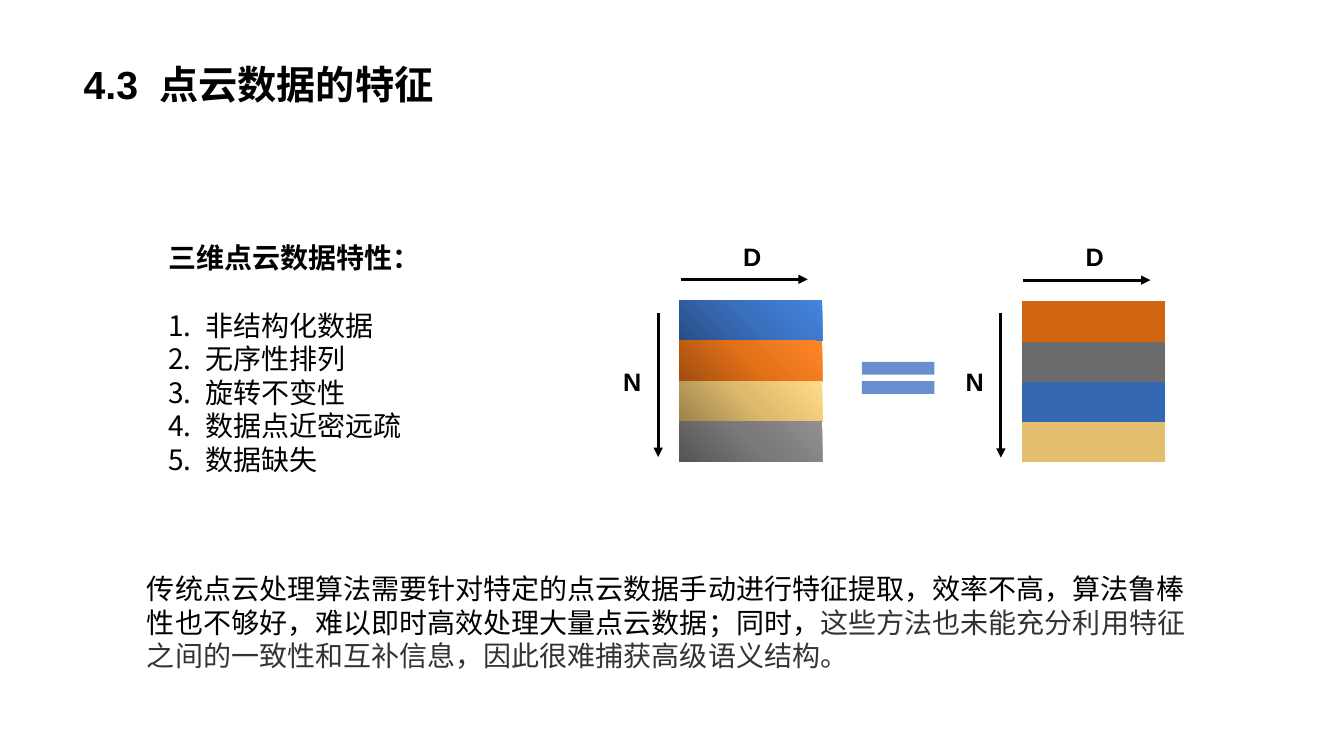
"""Builds the slide on the features of point cloud data."""
from dataclasses import dataclass

from lxml import etree
from pptx import Presentation
from pptx import util as u
from pptx.dml.color import RGBColor
from pptx.enum import shapes, text
from pptx.oxml.ns import qn

WIDTH, HEIGHT = u.Inches(13.33), u.Inches(7.5)
BLACK, GREY = "000000", "333333"
FONT = "Arial"


@dataclass(frozen=True)
class Box:
    """An area in columns and rows, of which the slide has a hundred each."""
    x: float
    y: float
    w: float
    h: float

    def area(self) -> tuple:
        """Return left, top, width and height as lengths."""
        return col(self.x), row(self.y), col(self.w), row(self.h)


@dataclass(frozen=True)
class Matrix:
    """A stack of bands, each filled with one colour or a gradient of three."""
    x: float
    y: float
    bands: tuple


TITLE = Box(5.48, 0, 89, 14.93)
LIST = Box(11.78, 31.2, 25.72, 32.8)
NOTE = Box(10.2, 74.93, 79.58, 14.8)
EQUAL = Box(63.15, 46.4, 7.35, 7.2)
BAND_W, BAND_H = 10.65, 5.33
ITEMS = ("非结构化数据", "无序性排列", "旋转不变性", "数据点近密远疏", "数据缺失")
RUNS = (
    ("传统点云处理算法需要针对特定的点云数据手动进行特征提取，效率不高，算法鲁棒"
     "性也不够好，难以即时高效处理大量点云数据；同时，", FONT, BLACK),
    ("这些方法也未能充分利用特征之间的一致性和互补信息，因此很难捕获高级语义结构。",
     "Times New Roman", GREY),
)
MATRICES = (
    Matrix(50.55, 39.75, (
        ("294E85", "3A6FBD", "4584E0"),
        ("9F4F10", "E37017", "FF8729"),
        ("9C834C", "DEBB6C", "FFDA89"),
        ("565555", "7A7878", "918F8F"),
    )),
    Matrix(76.05, 39.85, (("D16612",), ("6C6B6B",), ("3568B2",), ("E2BE6D",))),
)


def col(n: float) -> int:
    """Return the length of n columns."""
    return round(WIDTH * n / 100)


def row(n: float) -> int:
    """Return the length of n rows."""
    return round(HEIGHT * n / 100)


def color(code: str) -> RGBColor:
    """Return the colour of a hex string."""
    return RGBColor.from_string(code)


def add(parent, tag: str, **attrs: str):
    """Append a child element and return it."""
    return etree.SubElement(parent, qn(tag), attrs)


def style(font, size: float, bold: bool = False) -> None:
    """Set the font of a paragraph."""
    font.name, font.size, font.bold = FONT, u.Pt(size), bold
    font.color.rgb = color(BLACK)


def frame(slide, box: Box):
    """Add a wrapping text box and return its text frame."""
    body = slide.shapes.add_textbox(*box.area()).text_frame
    body.word_wrap = True
    return body


def title(slide) -> None:
    """Place and fill the title."""
    shape = slide.shapes.title
    shape.left, shape.top, shape.width, shape.height = TITLE.area()
    body = shape.text_frame
    body.auto_size = text.MSO_AUTO_SIZE.NONE
    body.vertical_anchor = text.MSO_ANCHOR.BOTTOM
    para = body.paragraphs[0]
    para.text = "4.3\t点云数据的特征"
    stops = add(para._p.get_or_add_pPr(), "a:tabLst")
    add(stops, "a:tab", pos=str(u.Inches(0.75)), algn="l")
    para.alignment, para.line_spacing = text.PP_ALIGN.LEFT, 0.9
    style(para.font, 28, True)


def points(slide) -> None:
    """Add the numbered list under its heading."""
    body = frame(slide, LIST)
    head = body.paragraphs[0]
    head.text = "三维点云数据特性："
    style(head.font, 20, True)
    indent = u.Inches(0.37)
    for i, item in enumerate(ITEMS):
        para = body.add_paragraph()
        para.text = item
        props = para._p.get_or_add_pPr()
        props.set("marL", str(indent))
        props.set("indent", str(-indent))
        add(props, "a:buFont", typeface=FONT)
        add(props, "a:buAutoNum", type="arabicPeriod")
        para.space_before = u.Pt(0 if i else 24)
        style(para.font, 20)


def note(slide) -> None:
    """Add the closing text."""
    para = frame(slide, NOTE).paragraphs[0]
    para.font.size = u.Pt(20)
    for words, face, code in RUNS:
        run = para.add_run()
        run.text = words
        run.font.name, run.font.size = face, u.Pt(20)
        run.font.color.rgb = color(code)


def paint(cell, codes: tuple) -> None:
    """Fill a cell without borders."""
    props = cell._tc.get_or_add_tcPr()
    for side in "LRTB":
        add(add(props, f"a:ln{side}", w="0"), "a:noFill")
    if len(codes) == 1:
        cell.fill.solid()
        cell.fill.fore_color.rgb = color(codes[0])
        return
    grad = add(props, "a:gradFill", rotWithShape="1")
    stops = add(grad, "a:gsLst")
    for i, code in enumerate(codes):
        stop = add(stops, "a:gs", pos=str(i * 50000))
        add(stop, "a:srgbClr", val=code)
    path = add(grad, "a:path", path="circle")
    add(path, "a:fillToRect", t="100000", r="100000")


def arrow(slide, x: float, y: float, w: float, h: float) -> None:
    """Draw an arrow that runs w columns and h rows."""
    line = slide.shapes.add_connector(
        shapes.MSO_CONNECTOR.STRAIGHT, col(x), row(y), col(x + w), row(y + h))
    line.line.color.rgb = color(BLACK)
    line.line.width = u.Pt(2.25)
    add(line.line._get_or_add_ln(), "a:tailEnd", type="triangle")
    add(line._element.spPr, "a:effectLst")


def label(slide, word: str, x: float, y: float) -> None:
    """Add the letter of a dimension."""
    para = frame(slide, Box(x, y, 2.7, 5.33)).paragraphs[0]
    para.text = word
    style(para.font, 18, True)


def matrix(slide, item: Matrix) -> None:
    """Draw a matrix with its two dimensions."""
    x, y, count = item.x, item.y, len(item.bands)
    area = Box(x, y, BAND_W, BAND_H * count).area()
    table = slide.shapes.add_table(count, 1, *area).table
    table.first_row = table.horz_banding = False
    for i, codes in enumerate(item.bands):
        cell = table.cell(i, 0)
        cell.margin_top = cell.margin_bottom = 0
        paint(cell, codes)
    arrow(slide, x - 1.58, y + 1.6, 0, 19.1)
    arrow(slide, x + 0.1, y - 2.8, 9.45, 0)
    label(slide, "N", x - 4.93, y + 8)
    label(slide, "D", x + 4, y - 8.55)


def equal(slide) -> None:
    """Draw the equals sign."""
    sign = slide.shapes.add_shape(shapes.MSO_SHAPE.MATH_EQUAL, *EQUAL.area())
    sign.shadow.inherit = False
    sign.fill.solid()
    sign.fill.fore_color.rgb = color("698FCE")
    sign.line.fill.background()


def main() -> None:
    """Build and save the slide."""
    deck = Presentation()
    deck.slide_width, deck.slide_height = WIDTH, HEIGHT
    slide = deck.slides.add_slide(deck.slide_layouts.get_by_name("Title Only"))
    title(slide)
    points(slide)
    note(slide)
    for item in MATRICES:
        matrix(slide, item)
    equal(slide)
    deck.save("out.pptx")


if __name__ == "__main__":
    main()
